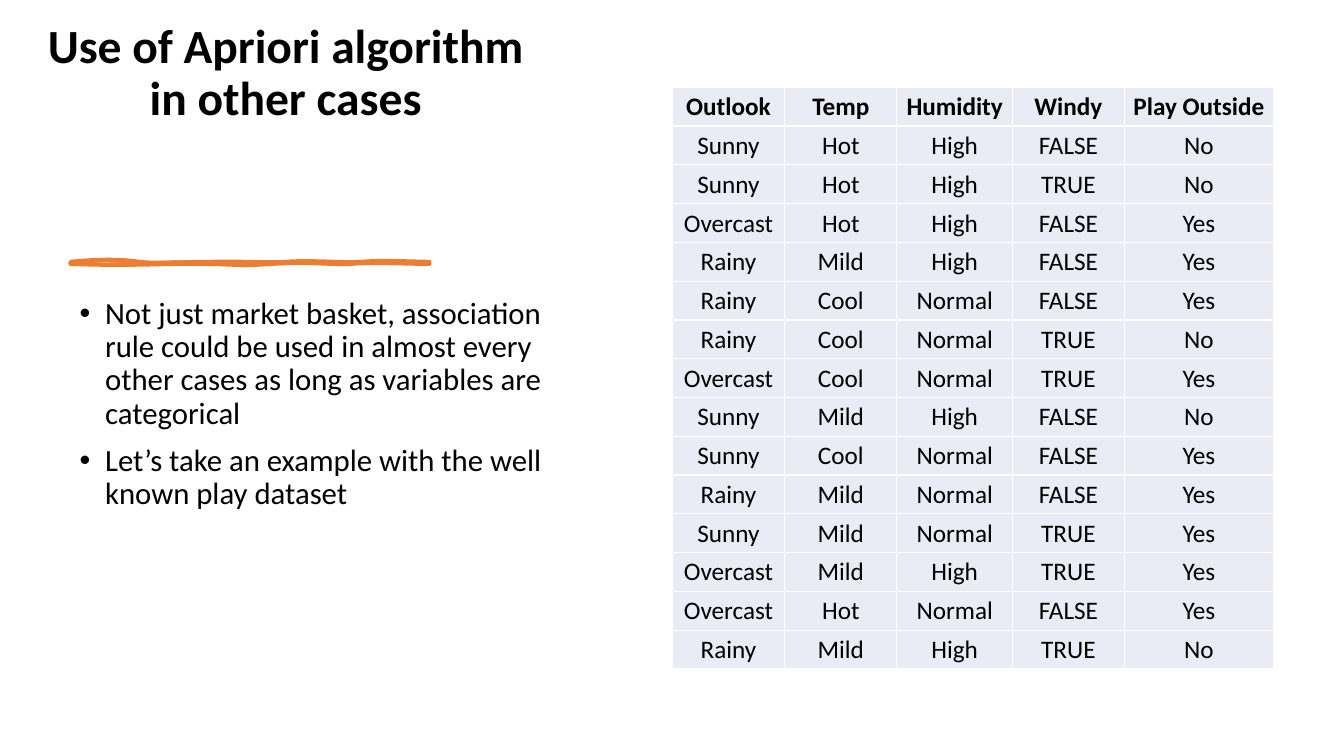
from lxml.etree import SubElement as Sub
from pptx import Presentation
from pptx.dml.color import RGBColor as Rgb
from pptx.enum.shapes import MSO_SHAPE as Kind
from pptx.enum.text import MSO_ANCHOR as Anchor, PP_ALIGN as Align
from pptx.oxml.ns import qn
from pptx.util import Cm, Pt

HUES = {"page": "FFFFFF", "ink": "000000", "cell": "E9EBF5", "rule": "ED7D31"}
FONT = "Calibri"
TITLE = "Use of Apriori algorithm in other cases"
POINTS = [
    "Not just market basket, association rule could be used in almost every "
    "other cases as long as variables are categorical",
    "Let\u2019s take an example with the well known play dataset",
]
HEADS = ("Outlook", "Temp", "Humidity", "Windy", "Play Outside")
DAYS = [
    ("Sunny", "Hot", "High", "FALSE", "No"),
    ("Sunny", "Hot", "High", "TRUE", "No"),
    ("Overcast", "Hot", "High", "FALSE", "Yes"),
    ("Rainy", "Mild", "High", "FALSE", "Yes"),
    ("Rainy", "Cool", "Normal", "FALSE", "Yes"),
    ("Rainy", "Cool", "Normal", "TRUE", "No"),
    ("Overcast", "Cool", "Normal", "TRUE", "Yes"),
    ("Sunny", "Mild", "High", "FALSE", "No"),
    ("Sunny", "Cool", "Normal", "FALSE", "Yes"),
    ("Rainy", "Mild", "Normal", "FALSE", "Yes"),
    ("Sunny", "Mild", "Normal", "TRUE", "Yes"),
    ("Overcast", "Mild", "High", "TRUE", "Yes"),
    ("Overcast", "Hot", "Normal", "FALSE", "Yes"),
    ("Rainy", "Mild", "High", "TRUE", "No"),
]
WIDTHS = (2.84, 2.82, 2.92, 2.81, 3.77)
TALL = 14.66

LEFT, TOP, RIGHT, BASE = 1.78, 6.6, 10.82, 6.65
TURN = [(RIGHT, TOP), (RIGHT, 6.63), (RIGHT, BASE)]
HOME = [(LEFT, 6.63), (LEFT, TOP), (LEFT, TOP)]
EDGE = [
    (LEFT, TOP), (2.46, 6.53), (3.07, 6.53), (3.51, 6.6), (3.94, 6.65),
    (4.5, 6.6), (5.31, 6.6), (6.12, 6.58), (6.6, 6.63), (7.21, 6.6),
    (7.82, 6.55), (8.61, 6.63), (9.12, 6.6), (9.63, 6.55), (10.46, 6.6),
    (RIGHT, TOP), *TURN, (10.36, 6.65), (9.25, 6.6), (8.84, 6.65),
    (8.43, 6.68), (7.72, 6.58), (6.86, 6.65), (5.97, 6.71), (5.87, 6.65),
    (5.05, 6.65), (4.22, 6.63), (3.35, 6.71), (LEFT, BASE), *HOME,
]
BODY = [
    (LEFT, TOP), (2.59, 6.65), (2.79, 6.6), (3.51, 6.6), (4.22, 6.58),
    (4.29, 6.53), (5.05, 6.6), (5.79, 6.65), (6.63, 6.63), (7.04, 6.6),
    (7.44, 6.55), (8.31, 6.65), (8.74, 6.6), (9.19, 6.53), (10.08, 6.68),
    (RIGHT, TOP), *TURN, (10.46, 6.63), (9.45, 6.71), (9.02, 6.65),
    (8.59, 6.58), (7.85, 6.65), (7.04, 6.65), (6.2, 6.65), (6.1, 6.6),
    (5.49, 6.65), (4.9, 6.68), (4.55, 6.63), (3.68, 6.65), (2.82, 6.65),
    (2.34, 6.63), (LEFT, BASE), *HOME,
]


def hue(name):
    return Rgb.from_string(HUES[name])


def paint(fill, name):
    fill.solid()
    fill.fore_color.rgb = hue(name)


def write(para, text, size, bold=False):
    run = para.add_run()
    run.text = text
    font = run.font
    font.name, font.size, font.bold = FONT, Pt(size), bold
    font.color.rgb = hue("ink")


def add_box(left, top, width, height, anchor):
    frame = slide.shapes.add_textbox(Cm(left), Cm(top), Cm(width), Cm(height)).text_frame
    frame.word_wrap = True
    frame.vertical_anchor = anchor
    return frame


def curve(paths, knots, **flags):
    path = Sub(paths, qn("a:path"), w=str(Cm(RIGHT - LEFT)),
               h=str(Cm(BASE - TOP)), **flags)
    step = Sub(path, qn("a:moveTo"))
    for i, (x, y) in enumerate(knots):
        if i % 3 == 1:
            step = Sub(path, qn("a:cubicBezTo"))
        Sub(step, qn("a:pt"), x=str(Cm(x - LEFT)), y=str(Cm(y - TOP)))
    Sub(path, qn("a:close"))


def add_rule():
    pen = slide.shapes.build_freeform(Cm(LEFT), Cm(TOP))
    pen.add_line_segments([(Cm(RIGHT), Cm(TOP)), (Cm(RIGHT), Cm(BASE)),
                           (Cm(LEFT), Cm(BASE))])
    rule = pen.convert_to_shape()
    rule.shadow.inherit = False
    paint(rule.fill, "rule")
    rule.line.color.rgb = hue("rule")
    rule.line.width = Pt(3)
    paths = next(rule._element.iter(qn("a:pathLst")))
    paths.remove(paths[0])
    curve(paths, EDGE, fill="none")
    curve(paths, BODY, stroke="0")


def style(cell):
    props = cell._tc.get_or_add_tcPr()
    for side in "LRTB":
        line = Sub(props, qn("a:ln" + side), w=str(Pt(1)))
        Sub(Sub(line, qn("a:solidFill")), qn("a:srgbClr"), val=HUES["page"])
    paint(cell.fill, "cell")
    cell.vertical_anchor = Anchor.MIDDLE
    cell.margin_left = cell.margin_right = cell.margin_top = Cm(0.02)
    cell.margin_bottom = 0


deck = Presentation()
deck.slide_width, deck.slide_height = Cm(33.87), Cm(19.05)
slide = deck.slides.add_slide(deck.slide_layouts[6])

back = slide.shapes.add_shape(Kind.RECTANGLE, 0, 0, deck.slide_width, deck.slide_height)
back.shadow.inherit = False
paint(back.fill, "page")
back.line.fill.background()

para = add_box(0.5, 0.32, 13.4, 2.97, Anchor.BOTTOM).paragraphs[0]
para.alignment = Align.CENTER
para.line_spacing = 0.9
write(para, TITLE, 34, True)

add_rule()

frame = add_box(1.76, 7.38, 13.4, 9.85, Anchor.TOP)
for i, text in enumerate(POINTS):
    para = frame.add_paragraph() if i else frame.paragraphs[0]
    para.line_spacing = 0.9
    para.space_before = Pt(10)
    props = para._p.get_or_add_pPr()
    props.set("marL", str(Cm(0.64)))
    props.set("indent", str(-Cm(0.64)))
    Sub(props, qn("a:buFont"), typeface="Arial")
    Sub(props, qn("a:buChar"), char="\u2022")
    write(para, text, 22)

rows = [HEADS] + DAYS
grid = slide.shapes.add_table(len(rows), len(HEADS), Cm(16.94), Cm(2.2),
                              Cm(sum(WIDTHS)), Cm(TALL)).table
for col, width in zip(grid.columns, WIDTHS):
    col.width = Cm(width)
for r, row in enumerate(rows):
    grid.rows[r].height = Cm(TALL / len(rows))
    for c, text in enumerate(row):
        cell = grid.cell(r, c)
        style(cell)
        para = cell.text_frame.paragraphs[0]
        para.alignment = Align.CENTER
        write(para, text, 18, r == 0)

deck.save("out.pptx")
